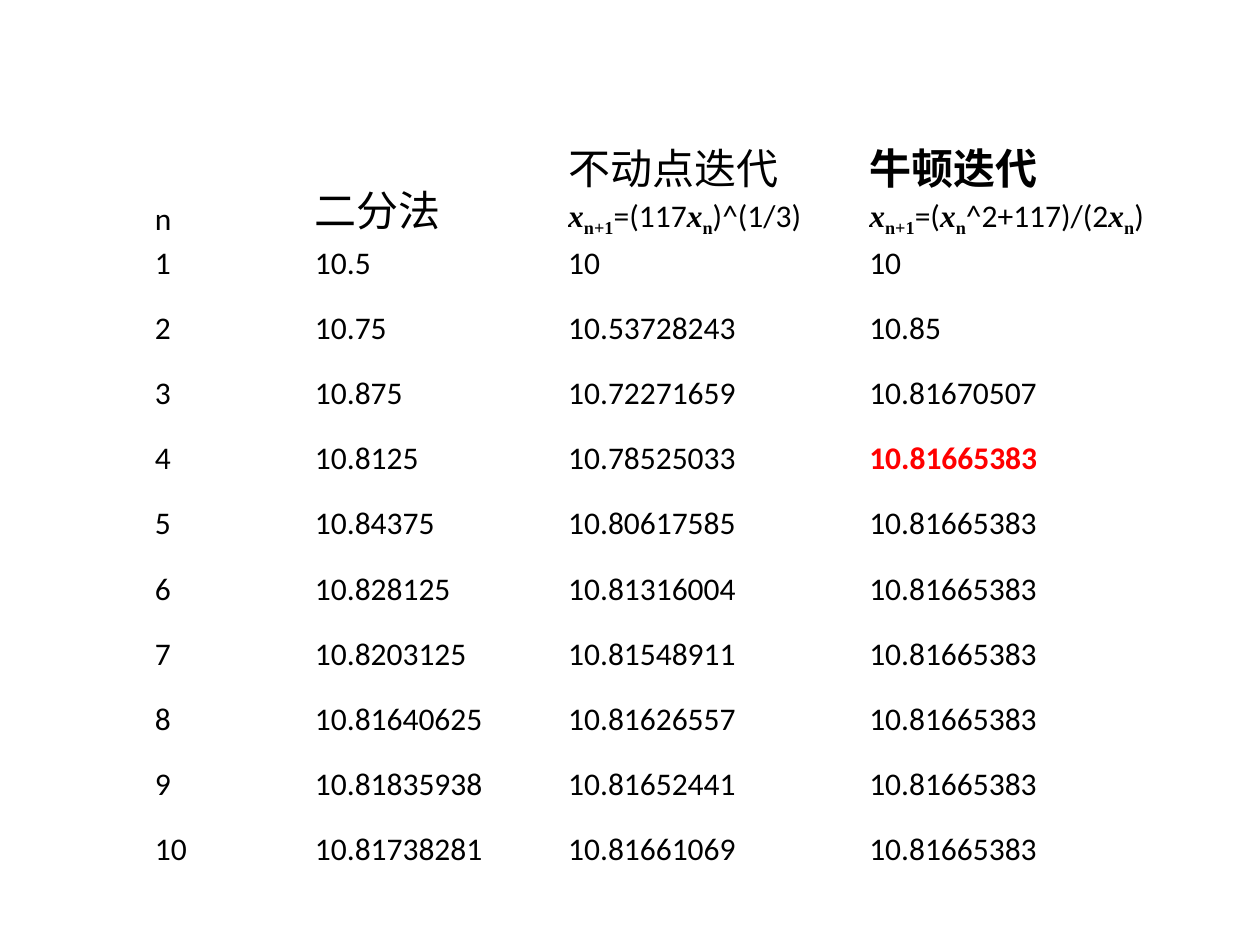
from dataclasses import dataclass

from pptx import Presentation
from pptx.dml.color import RGBColor as Rgb
from pptx.enum.text import MSO_ANCHOR as Anchor
from pptx.util import Inches, Pt


@dataclass(frozen=True)
class Theme:
    sans: str = "Calibri"
    serif: str = "Times New Roman"
    ink: str = "000000"
    mark: str = "FF0000"
    head: int = 24
    body: int = 18
    inset: float = 0.01


@dataclass(frozen=True)
class Span:
    text: str
    kind: str = "body"


X = Span("x", "var")
SUB = Span("n", "sub")
NEXT = Span("n+1", "sub")

HEADS = [
    [[Span("n")]],
    [[Span("二分法", "head")]],
    [[Span("不动点迭代", "head")],
     [X, NEXT, Span("=(117"), X, SUB, Span(")^(1/3)")]],
    [[Span("牛顿迭代", "strong")],
     [X, NEXT, Span("=("), X, SUB, Span("^2+117)/(2"), X, SUB, Span(")")]],
]

BISECT = ["10.5", "10.75", "10.875", "10.8125", "10.84375", "10.828125",
          "10.8203125", "10.81640625", "10.81835938", "10.81738281"]
FIXED = ["10", "10.53728243", "10.72271659", "10.78525033", "10.80617585",
         "10.81316004", "10.81548911", "10.81626557", "10.81652441",
         "10.81661069"]
ROOT = "10.81665383"
NEWTON = ["10", "10.85", "10.81670507"] + [ROOT] * 7
HIT = NEWTON.index(ROOT)


class Deck:
    """Holds the theme and slide; lengths are in hundredths of its width."""

    def __init__(self, theme, wide=10, high=7.5):
        self.theme = theme
        self.show = Presentation()
        self.show.slide_width = Inches(wide)
        self.show.slide_height = Inches(high)
        self.unit = Inches(wide) / 100
        self.slide = self.show.slides.add_slide(self.show.slide_layouts[6])

    def size(self, units):
        return round(units * self.unit)

    def run(self, para, span):
        theme, kind = self.theme, span.kind
        run = para.add_run()
        run.text = span.text
        font = run.font
        font.name = theme.serif if kind in ("var", "sub") else theme.sans
        font.size = Pt(theme.head if kind in ("head", "strong")
                       else theme.body)
        font.bold = kind in ("var", "sub", "strong", "hit")
        font.italic = kind == "var"
        font.color.rgb = Rgb.from_string(
            theme.mark if kind == "hit" else theme.ink)
        if kind == "sub":
            run._r.get_or_add_rPr().set("baseline", "-25000")

    def cell(self, cell, lines):
        cell.fill.background()
        cell.vertical_anchor = Anchor.BOTTOM
        edge = Inches(self.theme.inset)
        cell.margin_left = cell.margin_right = cell.margin_top = edge
        cell.margin_bottom = 0
        frame = cell.text_frame
        for i, line in enumerate(lines):
            para = frame.add_paragraph() if i else frame.paragraphs[0]
            for span in line:
                self.run(para, span)

    def table(self, left, top, cols, rows, data):
        box = self.slide.shapes.add_table(
            len(rows), len(cols), self.size(left), self.size(top),
            self.size(sum(cols)), self.size(sum(rows)))
        table = box.table
        table.first_row = table.horz_banding = False
        for col, width in zip(table.columns, cols):
            col.width = self.size(width)
        for row, high, cells in zip(table.rows, rows, data):
            row.height = self.size(high)
            for cell, lines in zip(row.cells, cells):
                self.cell(cell, lines)

    def save(self):
        self.show.save("out.pptx")


def main():
    deck = Deck(Theme())
    data = [HEADS]
    for i, vals in enumerate(zip(BISECT, FIXED, NEWTON)):
        row = [[[Span(val)]] for val in (str(i + 1), *vals)]
        if i == HIT:
            row[-1] = [[Span(ROOT, "hit")]]
        data.append(row)
    deck.table(12.2, 10.7, cols=[12.7, 20.1, 23.9, 23.6],
               rows=[7.8, 3.5] + [5.17] * 9, data=data)
    deck.save()


if __name__ == "__main__":
    main()
